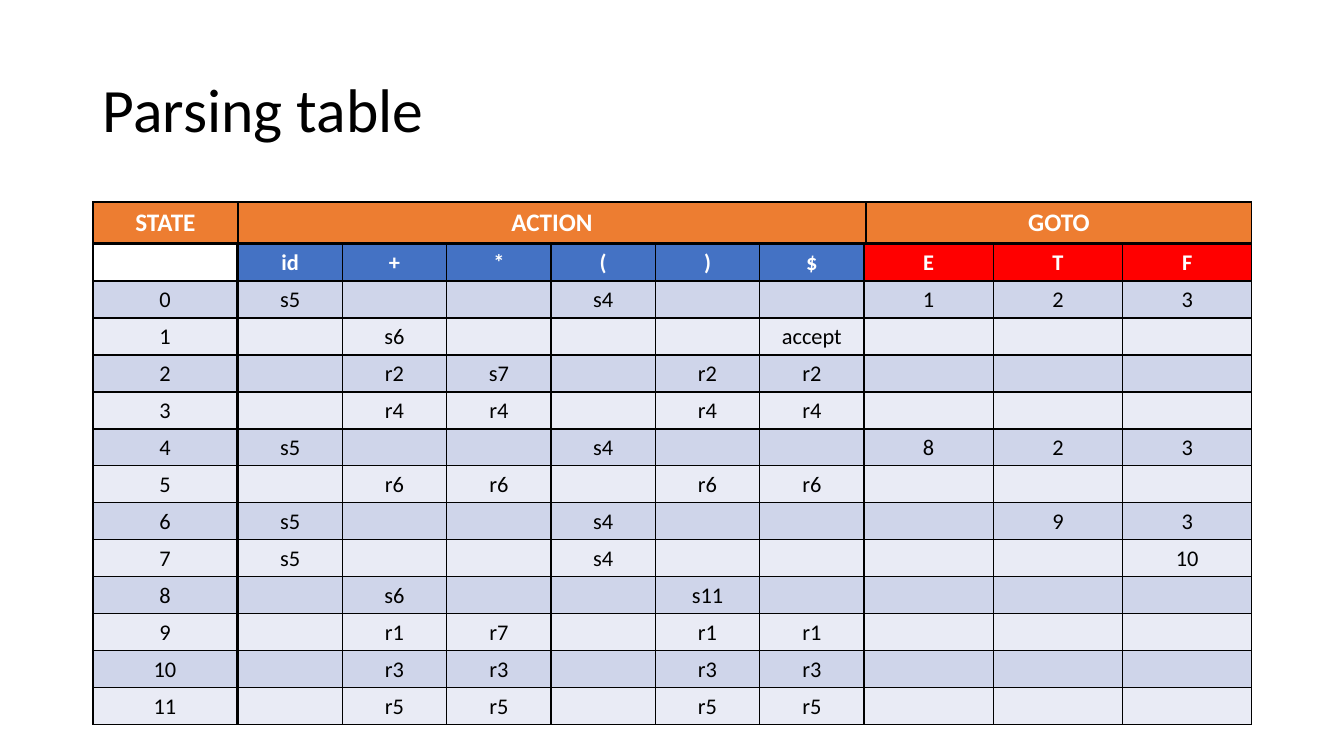
from lxml import etree
from pptx import Presentation
from pptx import util as u
from pptx.dml.color import RGBColor
from pptx.enum import text
from pptx.oxml.ns import qn

TITLE = "Parsing table"
GROUPS = ["STATE", "ACTION", "GOTO"]
TERMINALS = ["id", "+", "*", "(", ")", "$"]
NONTERMINALS = ["E", "T", "F"]
STATES = [
    ({"id": "s5", "(": "s4"}, {"E": "1", "T": "2", "F": "3"}),
    ({"+": "s6", "$": "accept"}, {}),
    ({"+": "r2", "*": "s7", ")": "r2", "$": "r2"}, {}),
    ({"+": "r4", "*": "r4", ")": "r4", "$": "r4"}, {}),
    ({"id": "s5", "(": "s4"}, {"E": "8", "T": "2", "F": "3"}),
    ({"+": "r6", "*": "r6", ")": "r6", "$": "r6"}, {}),
    ({"id": "s5", "(": "s4"}, {"T": "9", "F": "3"}),
    ({"id": "s5", "(": "s4"}, {"F": "10"}),
    ({"+": "s6", ")": "s11"}, {}),
    ({"+": "r1", "*": "r7", ")": "r1", "$": "r1"}, {}),
    ({"+": "r3", "*": "r3", ")": "r3", "$": "r3"}, {}),
    ({"+": "r5", "*": "r5", ")": "r5", "$": "r5"}, {}),
]
COLORS = {
    "orange": "ED7D31", "blue": "4472C4", "red": "FF0000",
    "dark_band": "CFD5EA", "light_band": "E9EBF5",
    "black": "000000", "white": "FFFFFF",
}
FONT = "Calibri"
LEFT, GROUPS_TOP, BODY_TOP = 93, 202, 244
GROUP_HEIGHT, ROW_HEIGHT = 41, 37
GROUP_WIDTHS = [145, 628, 386]
BODY_SPANS = [(93, 144), (238, 626), (864, 388)]


def px(length):
    return round(length * 914400 / 100.8)


def rgb(name):
    return RGBColor.from_string(COLORS[name])


def style(paragraph, size, color, bold=False):
    paragraph.font.name = FONT
    paragraph.font.size = u.Pt(size)
    paragraph.font.bold = bold
    paragraph.font.color.rgb = rgb(color)


def add_borders(cell):
    properties = cell._tc.get_or_add_tcPr()
    for index, side in enumerate(("lnL", "lnR", "lnT", "lnB")):
        line = etree.Element(qn(f"a:{side}"), w=str(u.Pt(1)))
        fill = etree.SubElement(line, qn("a:solidFill"))
        etree.SubElement(fill, qn("a:srgbClr"), val=COLORS["black"])
        properties.insert(index, line)


def add_grid(slide, left, top, widths, row_height, rows, header_fill, size):
    frame = slide.shapes.add_table(
        len(rows), len(widths), px(left), px(top),
        px(sum(widths)), px(row_height * len(rows)))
    grid = frame.table
    grid.first_row = grid.horz_banding = False
    for column, width in zip(grid.columns, widths):
        column.width = px(width)
    for r, entries in enumerate(rows):
        grid.rows[r].height = px(row_height)
        band = "dark_band" if r % 2 else "light_band"
        fill = header_fill if r == 0 else band
        for c, entry in enumerate(entries):
            cell = grid.cell(r, c)
            if fill:
                cell.fill.solid()
                cell.fill.fore_color.rgb = rgb(fill)
            else:
                cell.fill.background()
            add_borders(cell)
            paragraph = cell.text_frame.paragraphs[0]
            if entry:
                paragraph.text = entry
            paragraph.alignment = text.PP_ALIGN.CENTER
            style(paragraph, size, "black" if r else "white", bold=r == 0)


def main():
    deck = Presentation()
    deck.slide_width, deck.slide_height = px(1344), px(756)
    slide = deck.slides.add_slide(deck.slide_layouts[6])

    heading = slide.shapes.add_textbox(px(LEFT), px(40), px(1159), px(146)).text_frame
    heading.word_wrap = True
    heading.vertical_anchor = text.MSO_ANCHOR.MIDDLE
    heading.text = TITLE
    heading.paragraphs[0].line_spacing = 0.9
    style(heading.paragraphs[0], 44, "black")

    add_grid(slide, LEFT, GROUPS_TOP, GROUP_WIDTHS, GROUP_HEIGHT,
             [GROUPS], "orange", 18)

    numbers = [[""]] + [[str(state)] for state in range(len(STATES))]
    actions = [TERMINALS] + [
        [action.get(symbol, "") for symbol in TERMINALS] for action, _ in STATES]
    gotos = [NONTERMINALS] + [
        [goto.get(symbol, "") for symbol in NONTERMINALS] for _, goto in STATES]
    bodies = [(actions, "blue"), (gotos, "red"), (numbers, None)]
    spans = BODY_SPANS[1:] + BODY_SPANS[:1]
    for (left, width), (rows, header_fill) in zip(spans, bodies):
        count = len(rows[0])
        add_grid(slide, left, BODY_TOP, [width / count] * count, ROW_HEIGHT,
                 rows, header_fill, 16)

    deck.save("out.pptx")


if __name__ == "__main__":
    main()
